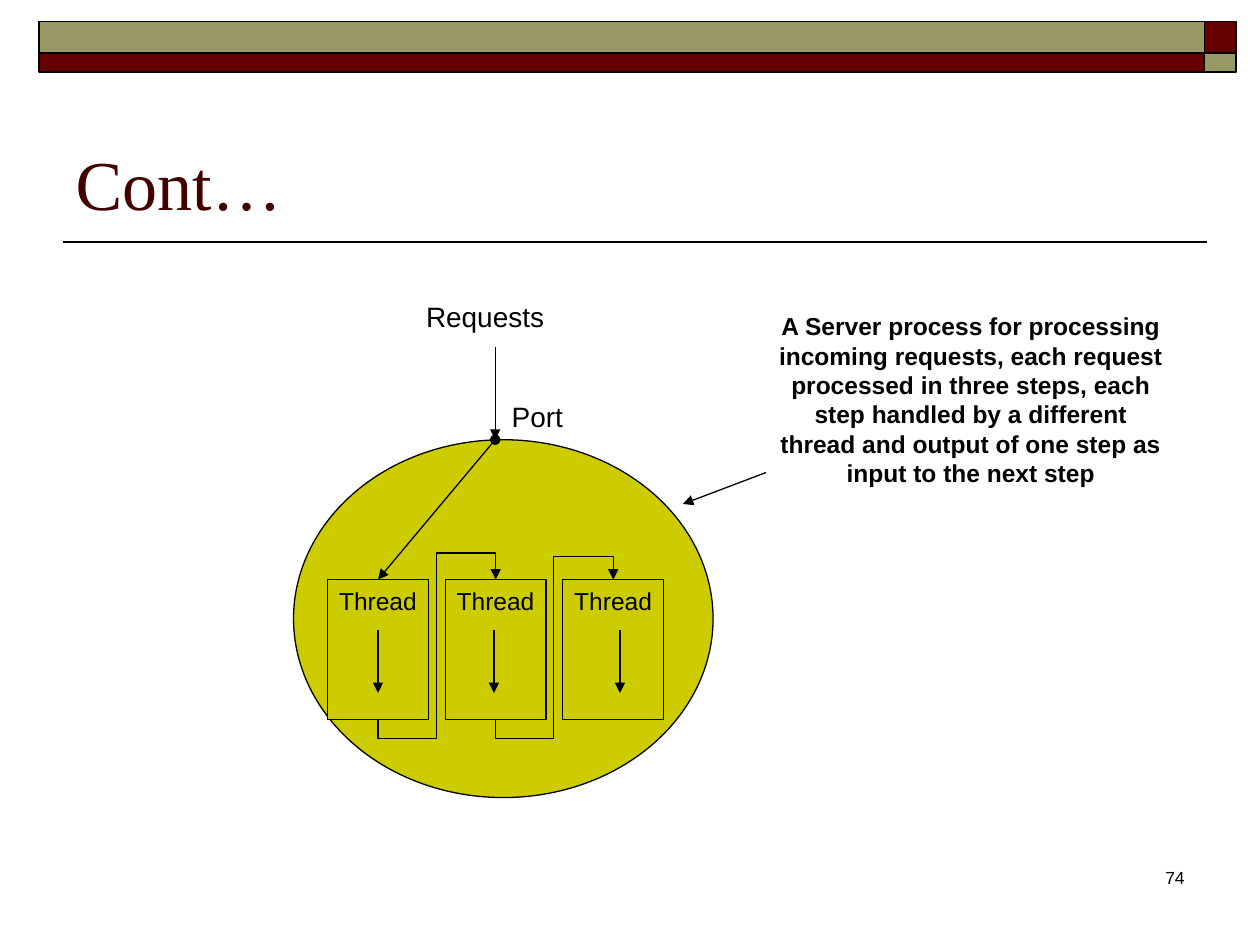
import pptx
import pptx.util
import pptx.dml.color
import pptx.enum.shapes
import pptx.enum.text
import pptx.oxml
import pptx.oxml.ns

Inches = pptx.util.Inches
SHAPE = pptx.enum.shapes.MSO_SHAPE
CONNECTOR = pptx.enum.shapes.MSO_CONNECTOR
ALIGN = pptx.enum.text.PP_ALIGN
ANCHOR = pptx.enum.text.MSO_ANCHOR

BLACK, MAROON, OLIVE, YELLOW = "000000", "660000", "999966", "CCCC00"

TITLE = "Cont…"
# text, box (left, top, width, height), size, bold, alignment
LABELS = [
    ("A Server process for processing incoming requests, each request "
     "processed in three steps, each step handled by a different thread "
     "and output of one step as input to the next step",
     (6.08, 2.42, 3.25, 1.5), 14, True, ALIGN.CENTER),
    ("Port", (3.8, 3.12, 0.93, 0.37), 16, False, ALIGN.CENTER),
    ("Requests", (3.25, 2.33, 1.2, 0.37), 16, False, ALIGN.CENTER),
    ("74", (7.42, 6.83, 2.08, 0.5), 10, False, ALIGN.RIGHT),
]
BANNER = [
    ((9.56, 0.17, 0.25, 0.25), MAROON),
    ((0.31, 0.17, 9.25, 0.25), OLIVE),
    ((0.31, 0.42, 9.25, 0.15), MAROON),
    ((9.56, 0.42, 0.25, 0.15), OLIVE),
]
PROCESS = (2.33, 3.49, 3.33, 2.84)
PORT = (3.93, 3.49)
THREADS = ["Thread", "Thread", "Thread"]
THREAD_LEFT, THREAD_TOP, THREAD_W, THREAD_H = 2.6, 4.6, 0.8, 1.11
THREAD_PITCH = 2.8 / 3
LABEL_W, LABEL_H = 1.07, 0.34
FLOW_X = [3, 3.92, 4.92]           # arrow inside each thread
FLOW_TOP, FLOW_BOTTOM = 5, 5.5
# bend positions of the links between threads, in 1/100000 of the length
HANDOVERS = [(-13900, 50000, 119000), (-13900, 49400, 116400)]


def color(target, hex_code):
    target.rgb = pptx.dml.color.RGBColor.from_string(hex_code)


def write(frame, text, font, size, hex_code, bold=False, align=ALIGN.CENTER):
    frame.word_wrap = True
    paragraph = frame.paragraphs[0]
    paragraph.alignment = align
    run = paragraph.add_run()
    run.text = text
    run.font.name, run.font.size, run.font.bold = font, pptx.util.Pt(size), bold
    color(run.font.color, hex_code)


def add_label(slide, text, box, size, bold=False, align=ALIGN.CENTER):
    label = slide.shapes.add_textbox(*map(Inches, box))
    write(label.text_frame, text, "Arial", size, BLACK, bold, align)


def add_block(slide, kind, box, fill, width=0.75):
    block = slide.shapes.add_shape(kind, *map(Inches, box))
    block.shadow.inherit = False
    block.fill.solid()
    color(block.fill.fore_color, fill)
    color(block.line.color, BLACK)
    block.line.width = pptx.util.Pt(width)
    return block


def add_line(slide, start, end, width=0.75, head=None, tail="triangle",
             kind=CONNECTOR.STRAIGHT):
    line = slide.shapes.add_connector(kind, *map(Inches, start + end))
    color(line.line.color, BLACK)
    line.line.width = pptx.util.Pt(width)
    outline = line.line._get_or_add_ln()
    for tag, ending in (("a:headEnd", head), ("a:tailEnd", tail)):
        if ending:
            pptx.oxml.ns.qn(tag)
            outline.append(new_element(tag, type=ending))
    line._element.spPr.append(new_element("a:effectLst"))
    return line


def new_element(tag, **attributes):
    element = pptx.oxml.parse_xml(f"<{tag} {pptx.oxml.ns.nsdecls('a')}/>")
    for name, value in attributes.items():
        element.set(name, str(value))
    return element


def add_handover(slide, source, target, bends):
    """Link the bottom of one thread to the top of the next with five segments."""
    link = add_line(slide, (0, 0), (1, 1), kind=CONNECTOR.ELBOW)
    link.begin_connect(source, 2)
    link.end_connect(target, 0)
    # The five-segment preset runs sideways, so it is turned a quarter.
    rise, run = source.height, target.left - source.left
    center_x = source.left + (source.width + run) // 2
    center_y = source.top + rise // 2
    link.left, link.top = center_x - rise // 2, center_y - run // 2
    link.width, link.height = rise, run
    properties = link._element.spPr
    for name, value in (("rot", "5400000"), ("flipH", "1"), ("flipV", "1")):
        properties.xfrm.set(name, value)
    geometry = properties.find(pptx.oxml.ns.qn("a:prstGeom"))
    geometry.set("prst", "bentConnector5")
    adjustments = geometry.find(pptx.oxml.ns.qn("a:avLst"))
    for number, bend in enumerate(bends, 1):
        adjustments.append(
            new_element("a:gd", name=f"adj{number}", fmla=f"val {bend}"))


def main():
    deck = pptx.Presentation()
    deck.slide_width, deck.slide_height = Inches(10), Inches(7.5)
    slide = deck.slides.add_slide(deck.slide_layouts[5])

    add_line(slide, (9.58, 1.92), (0.5, 1.92), 1, tail=None)
    for box, fill in BANNER:
        add_block(slide, SHAPE.RECTANGLE, box, fill, 1)

    title = slide.shapes.title
    title.left, title.top, title.width, title.height = map(
        Inches, (0.5, 1, 9, 0.83))
    title.text_frame.vertical_anchor = ANCHOR.BOTTOM
    write(title.text_frame, TITLE, "Times New Roman", 40, "420000",
          align=ALIGN.LEFT)

    add_block(slide, SHAPE.OVAL, PROCESS, YELLOW)
    lefts = [THREAD_LEFT + i * THREAD_PITCH for i in range(len(THREADS))]
    threads = [add_block(slide, SHAPE.RECTANGLE,
                         (left, THREAD_TOP, THREAD_W, THREAD_H), YELLOW)
               for left in lefts]
    for name, left, x in zip(THREADS, lefts, FLOW_X):
        label_left = left - (LABEL_W - THREAD_W) / 2
        add_label(slide, name, (label_left, THREAD_TOP, LABEL_W, LABEL_H), 14)
        add_line(slide, (x, FLOW_TOP), (x, FLOW_BOTTOM))

    add_line(slide, (PORT[0], 2.75), PORT)
    dispatch = add_line(slide, PORT, (3, THREAD_TOP), head="oval")
    dispatch.end_connect(threads[0], 0)
    add_line(slide, (6.08, 3.75), (5.42, 4))
    for source, target, bends in zip(threads, threads[1:], HANDOVERS):
        add_handover(slide, source, target, bends)

    for label in LABELS:
        add_label(slide, *label)
    deck.save("out.pptx")


if __name__ == "__main__":
    main()
